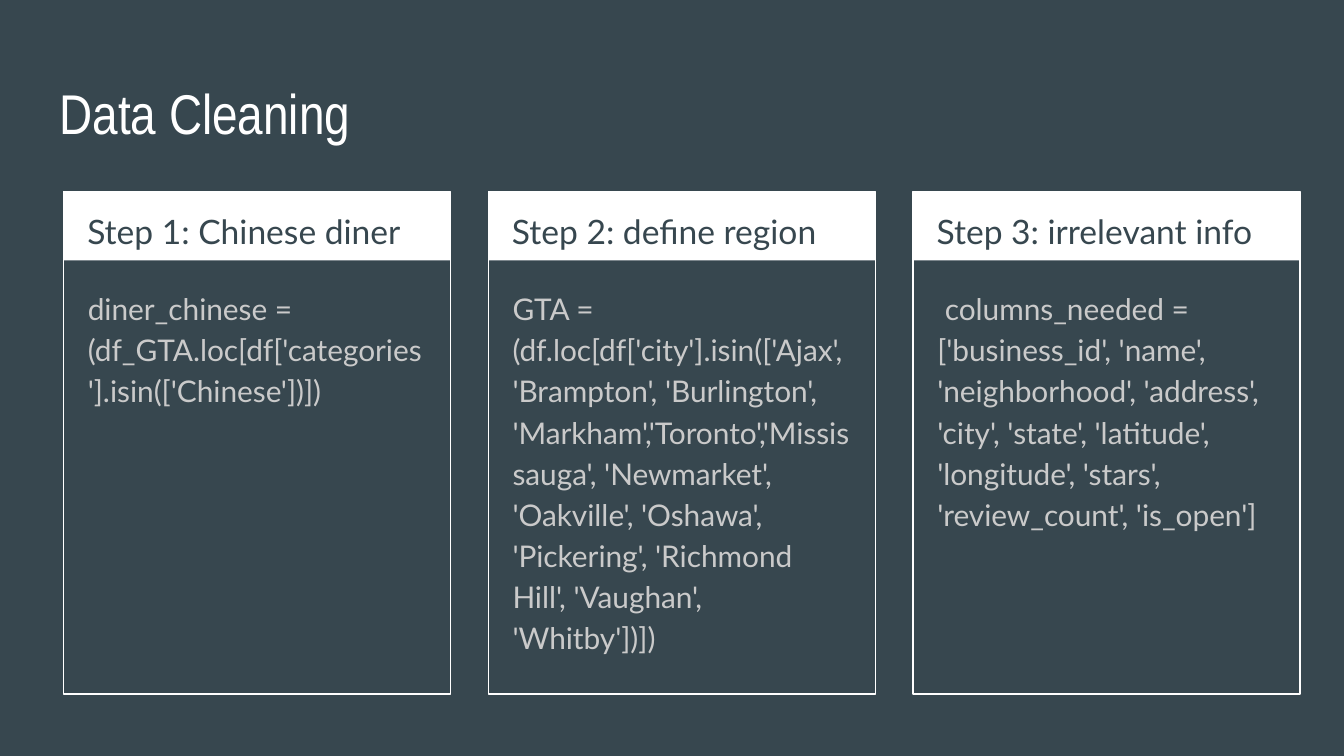
import pptx
import pptx.dml.color
import pptx.enum.shapes
import pptx.enum.text
import pptx.util

STEPS = [
    ("Step 1: Chinese diner",
     "diner_chinese = (df_GTA.loc[df['categories'].isin(['Chinese'])])"),
    ("Step 2: define region",
     "GTA = (df.loc[df['city'].isin(['Ajax', 'Brampton', 'Burlington', "
     "'Markham','Toronto','Mississauga', 'Newmarket', 'Oakville', 'Oshawa', "
     "'Pickering', 'Richmond Hill', 'Vaughan', 'Whitby'])])"),
    ("Step 3: irrelevant info",
     " columns_needed = ['business_id', 'name', 'neighborhood', 'address', "
     "'city', 'state', 'latitude', 'longitude', 'stars', 'review_count', "
     "'is_open']"),
]


def color(value):
    return pptx.dml.color.RGBColor.from_string(value)


def apply(target, values):
    for name, value in values.items():
        setattr(target, name, value)


class Deck:
    """Slide style and current slide, laid out on a grid 100 columns wide with square cells."""

    SLATE, WHITE, GREY = "37474F", "FFFFFF", "CACACA"
    WIDTH = pptx.util.Inches(10)
    TITLE = {"name": "Arial Narrow", "size": pptx.util.Pt(30)}
    HEADING = {"name": "Lato", "size": pptx.util.Pt(18)}
    CODE = {"name": "Lato", "size": pptx.util.Pt(16)}
    INSET = pptx.util.Inches(0.1)
    FRAME = {
        "word_wrap": True,
        "auto_size": pptx.enum.text.MSO_AUTO_SIZE.NONE,
        "vertical_anchor": pptx.enum.text.MSO_ANCHOR.TOP,
        "margin_left": INSET, "margin_right": INSET,
        "margin_top": INSET, "margin_bottom": INSET,
    }

    def __init__(self):
        self.presentation = pptx.Presentation()
        apply(self.presentation, {"slide_width": self.WIDTH,
                                  "slide_height": self.WIDTH * 9 // 16})
        self.cell = self.WIDTH / 100
        self.slide = self.presentation.slides.add_slide(
            self.presentation.slide_layouts[6])
        background = self.slide.background.fill
        background.solid()
        background.fore_color.rgb = color(self.SLATE)

    def place(self, *cells):
        return [round(count * self.cell) for count in cells]

    def text(self, wording, area, font, ink, spacing=1.0):
        frame = self.slide.shapes.add_textbox(*self.place(*area)).text_frame
        apply(frame, self.FRAME)
        paragraph = frame.paragraphs[0]
        paragraph.line_spacing = spacing
        run = paragraph.add_run()
        run.text = wording
        apply(run.font, font)
        run.font.color.rgb = color(ink)

    def box(self, area, fill=None, line=None):
        box = self.slide.shapes.add_shape(
            pptx.enum.shapes.MSO_SHAPE.RECTANGLE, *self.place(*area))
        box.shadow.inherit = False
        if fill:
            box.fill.solid()
            box.fill.fore_color.rgb = color(fill)
        else:
            box.fill.background()
        if line:
            box.line.color.rgb = color(line)
            box.line.width = pptx.util.Pt(0.75)
        else:
            box.line.fill.background()

    def card(self, left, heading, code):
        top, width = 14.27, 28.8
        self.box((left, top, width, 5.1), fill=self.WHITE)
        self.box((left, top, width, 37.37), line=self.WHITE)
        self.text(heading, (left + 0.78, top, 27.3, 5), self.HEADING, self.SLATE, 1.15)
        self.text(code, (left + 0.82, top + 5.97, 27.1, 30.6), self.CODE, self.GREY, 1.15)


def main():
    deck = Deck()
    deck.text("Data Cleaning", (3.45, 4.87, 93.2, 6.3), deck.TITLE, deck.WHITE)
    for index, (heading, code) in enumerate(STEPS):
        deck.card(4.73 + 31.6 * index, heading, code)
    deck.presentation.save("out.pptx")


if __name__ == "__main__":
    main()
